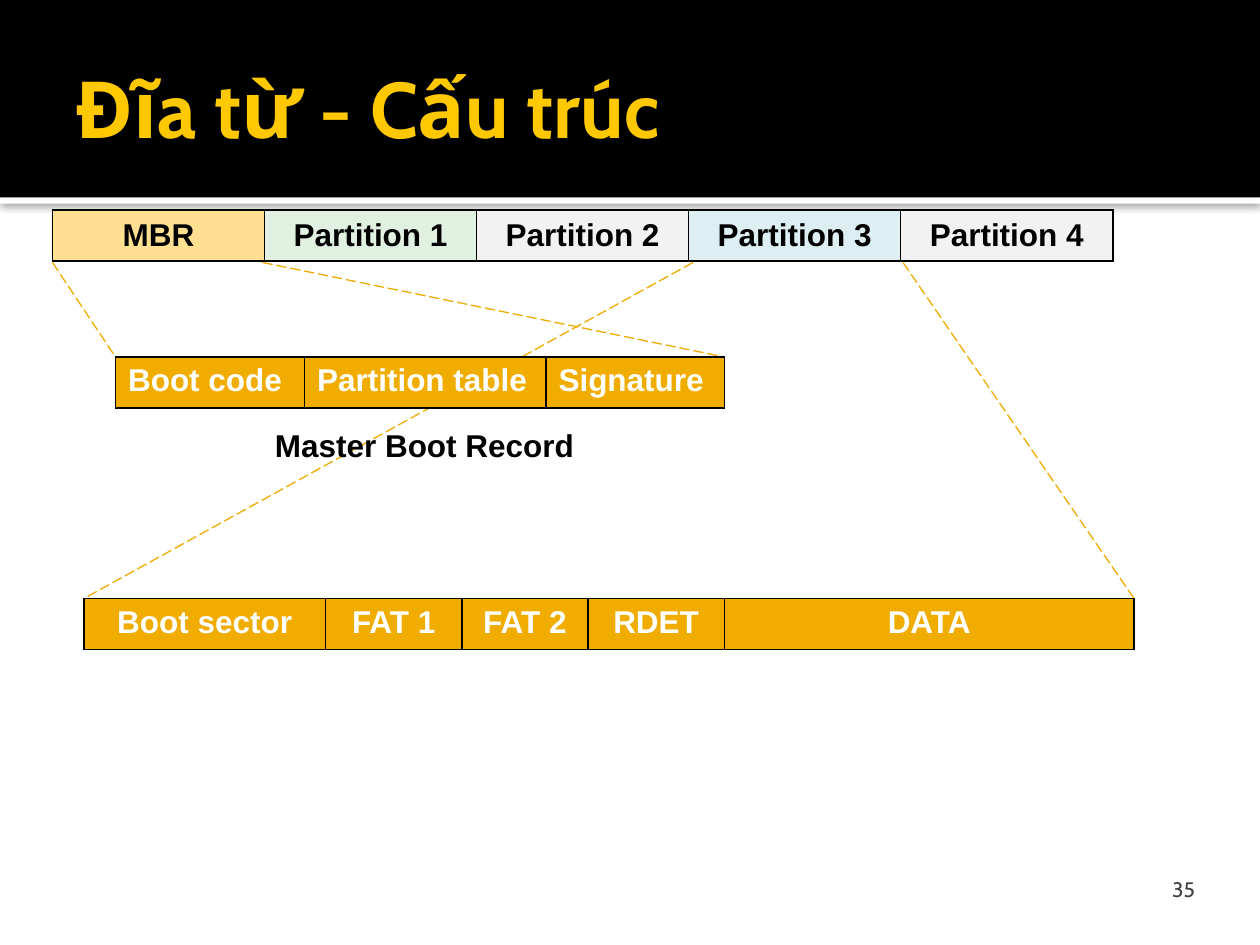
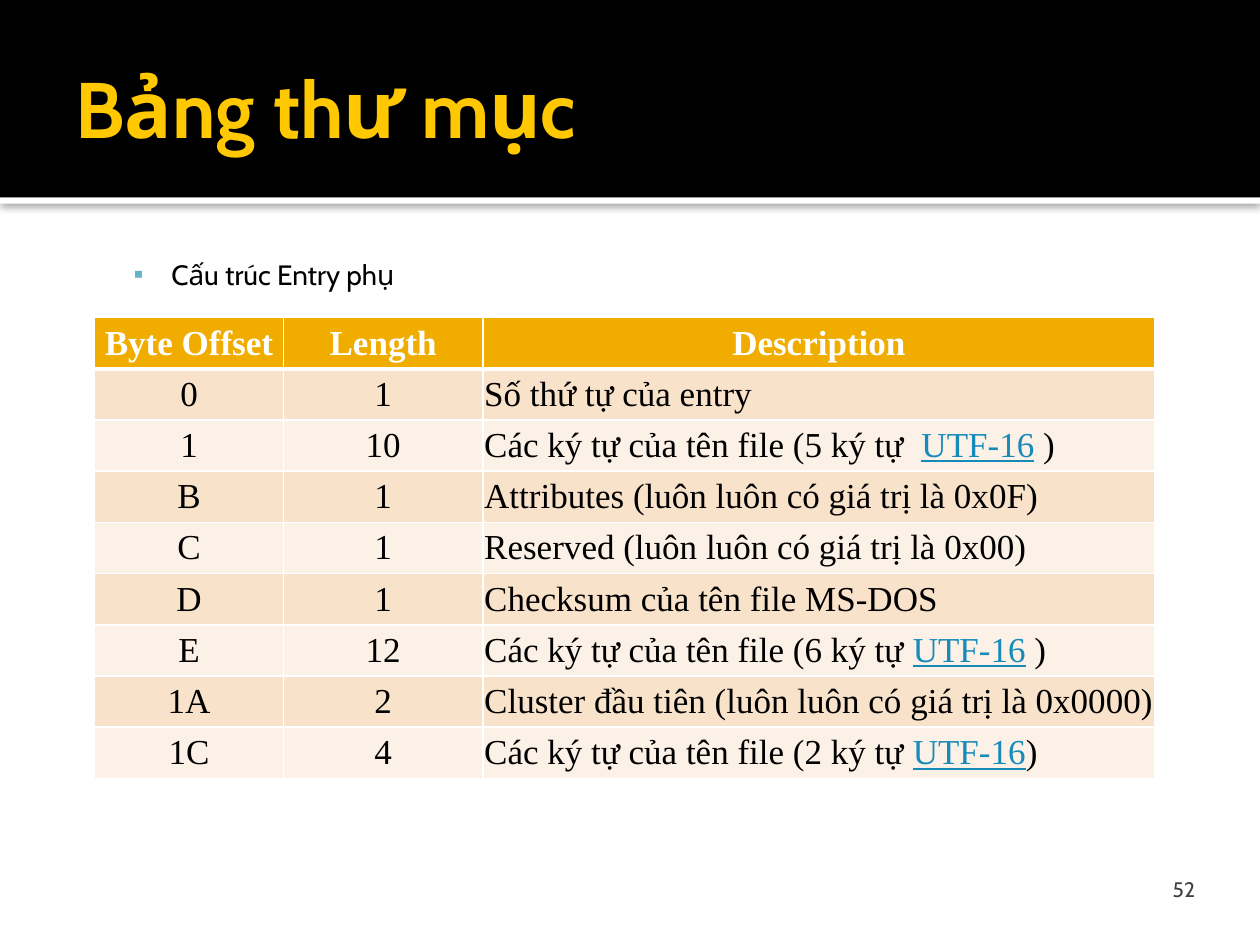
from lxml.etree import SubElement as Sub
from pptx import Presentation
from pptx.dml.color import RGBColor
from pptx.enum.dml import MSO_LINE_DASH_STYLE as Dash
from pptx.enum.shapes import MSO_CONNECTOR as Conn, MSO_SHAPE as Shape
from pptx.enum.text import MSO_ANCHOR as Anchor, MSO_AUTO_SIZE as Auto, PP_ALIGN as Align
from pptx.oxml.ns import qn
from pptx.util import Inches, Pt

# Colours
BLACK = RGBColor(0x00, 0x00, 0x00)
WHITE = RGBColor(0xFF, 0xFF, 0xFF)
GOLD = RGBColor(0xFF, 0xC8, 0x00)
AMBER = RGBColor(0xF0, 0xAD, 0x00)
DASHED = RGBColor(0xEF, 0xAB, 0x00)
GREY = RGBColor(0x3F, 0x3F, 0x3F)
BLUE = RGBColor(0x60, 0xB5, 0xCC)
LINK = RGBColor(0x16, 0x8B, 0xBA)
CREAM = RGBColor(0xFF, 0xE0, 0x93)
GREEN = RGBColor(0xE0, 0xF0, 0xE1)
PALE = RGBColor(0xF2, 0xF2, 0xF2)
SKY = RGBColor(0xDE, 0xEF, 0xF4)
PEACH = RGBColor(0xF9, 0xE2, 0xCA)
LIGHT = RGBColor(0xFC, 0xF1, 0xE6)

# Grid of 120 columns and 90 rows on a 10 x 7.5 inch slide
WIDE, HIGH = Inches(10), Inches(7.5)
COLS, ROWS = 120, 90
BAND = 18.8
ROW = 4.88

# Font formats
HEAD = dict(name="Cabin", size=Pt(45), bold=True, color=GOLD)
LIST = dict(name="Cabin", size=Pt(16), color=BLACK)
PAGE = dict(name="Cabin", size=Pt(12), color=GREY)
DARK = dict(name="Arial", size=Pt(18), bold=True, color=BLACK)
BRIGHT = {**DARK, "color": WHITE}
CELL = dict(name="Times New Roman", size=Pt(20), bold=False, color=BLACK)
TOP = {**CELL, "bold": True, "color": WHITE}

# Line format
DASHES = dict(color=DASHED, width=Pt(0.75), dash_style=Dash.LONG_DASH)

TERM = "UTF-16"


def put(item, vals):
    for key, val in vals.items():
        if key == "color":
            item.color.rgb = val
        else:
            setattr(item, key, val)


def pad(left, top, right, low):
    sides = ("left", "top", "right", "bottom")
    return {f"margin_{side}": Inches(gap)
            for side, gap in zip(sides, (left, top, right, low))}


class Deck:
    def __init__(self):
        self.prs = Presentation()
        put(self.prs, dict(slide_width=WIDE, slide_height=HIGH))

    def box(self, left, top, wide, high):
        """Turn grid units into slide lengths."""
        return (round(WIDE * left / COLS), round(HIGH * top / ROWS),
                round(WIDE * wide / COLS), round(HIGH * high / ROWS))

    def start(self, kind, title, page):
        """Add a slide with its band, title and page number."""
        self.slide = self.prs.slides.add_slide(self.prs.slide_layouts[kind])
        self.shapes = self.slide.shapes
        strip = self.bar(BAND, 0.6, WHITE)
        self.bar(0, BAND, BLACK)
        self.shade(strip)
        self.fit(self.shapes.title, (6, 2, 108, 16.4), title, HEAD,
                 dict(vertical_anchor=Anchor.MIDDLE, **pad(0.1, 0.05, 0.05, 0.05)))
        self.text((107, 79.1, 8, 6.8), page, PAGE, Align.RIGHT,
                  dict(vertical_anchor=Anchor.BOTTOM, margin_bottom=0))

    def bar(self, top, high, fill):
        bar = self.shapes.add_shape(Shape.RECTANGLE, *self.box(0, top, COLS, high))
        bar.shadow.inherit = False
        bar.fill.solid()
        bar.fill.fore_color.rgb = fill
        bar.line.fill.background()
        return bar

    def shade(self, shape):
        glow = shape._element.spPr.find(qn("a:effectLst"))
        drop = Sub(glow, qn("a:outerShdw"), blurRad=str(Pt(5)), dist=str(Pt(0.8)),
                   dir="5400000", algn="t", rotWithShape="0")
        tint = Sub(drop, qn("a:srgbClr"), val=str(BLACK))
        Sub(tint, qn("a:alpha"), val="60000")

    def say(self, frame, words, font, align=Align.LEFT):
        """Fill the first paragraph, with the marked term set apart."""
        para = frame.paragraphs[0]
        para.alignment = align
        for part in filter(None, words.partition(TERM)):
            run = para.add_run()
            run.text = part
            put(run.font, font)
            if part == TERM:
                put(run.font, dict(color=LINK, underline=True))
        return para

    def fit(self, shape, spot, words, font, frame):
        """Move a placeholder to the front, place it and fill it."""
        self.shapes._spTree.append(shape._element)
        put(shape, dict(zip(("left", "top", "width", "height"), self.box(*spot))))
        put(shape.text_frame, dict(word_wrap=True, auto_size=Auto.NONE, **frame))
        return self.say(shape.text_frame, words, font)

    def text(self, spot, words, font, align=Align.LEFT, form=None):
        area = self.shapes.add_textbox(*self.box(*spot)).text_frame
        put(area, dict(word_wrap=True, **(form or {})))
        self.say(area, words, font, align)

    def point(self, words):
        """Put a second-level bullet in the body placeholder."""
        para = self.fit(self.slide.placeholders[1], (6, 23.3, 108, 60.7), words, LIST,
                        dict(vertical_anchor=Anchor.TOP, **pad(0.06, 0.1, 0.1, 0.05)))
        put(para, dict(level=1, space_before=Pt(0)))
        props = para._p.get_or_add_pPr()
        props.set("marL", str(Inches(0.8)))
        props.set("indent", str(Inches(-0.3)))
        Sub(Sub(props, qn("a:buClr")), qn("a:srgbClr"), val=str(BLUE))
        Sub(props, qn("a:buFont"), typeface="Arial")
        Sub(props, qn("a:buChar"), char="▪")

    def dash(self, start, end):
        link = self.shapes.add_connector(Conn.STRAIGHT, *self.box(*start, *end))
        put(link.line, DASHES)
        Sub(link._element.spPr, qn("a:effectLst"))

    def grid(self, left, top, wides, count):
        """Add a bare table with the given column widths."""
        spot = self.box(left, top, sum(wides), ROW * count)
        table = self.shapes.add_table(count, len(wides), *spot).table
        put(table, dict(first_row=False, horz_banding=False))
        for col, wide in zip(table.columns, wides):
            col.width = round(WIDE * wide / COLS)
        return table

    def cell(self, cell, words, font, fill, edge, align, form, thick=""):
        put(cell, form)
        props = cell._tc.get_or_add_tcPr()
        for side in "LRTB":
            size = Pt(3 if side == thick else 1)
            line = Sub(props, qn(f"a:ln{side}"), w=str(size))
            Sub(Sub(line, qn("a:solidFill")), qn("a:srgbClr"), val=str(edge))
        cell.fill.solid()
        cell.fill.fore_color.rgb = fill
        self.say(cell.text_frame, words, font, align)

    def strip(self, left, top, parts, font, align=Align.CENTER, anchor=Anchor.TOP):
        """Draw one row of (words, width, fill) blocks."""
        table = self.grid(left, top, [wide for _, wide, _ in parts], 1)
        for cell, (words, _, fill) in zip(table.rows[0].cells, parts):
            self.cell(cell, words, font, fill, BLACK, align,
                      dict(vertical_anchor=anchor))

    def sheet(self, left, top, wides, rows):
        """Draw a banded table whose last column is left aligned."""
        table = self.grid(left, top, wides, len(rows))
        form = dict(vertical_anchor=Anchor.MIDDLE, **pad(*[0.01] * 4))
        for y, row in enumerate(rows):
            font = CELL if y else TOP
            fill = (PEACH if y % 2 else LIGHT) if y else AMBER
            for x, words in enumerate(row):
                last = y and x == len(row) - 1
                self.cell(table.cell(y, x), words, font, fill, WHITE,
                          Align.LEFT if last else Align.CENTER, form,
                          {0: "B", 1: "T"}.get(y, ""))


def disk(deck):
    """Disk layout, with two of its parts opened up."""
    deck.start(5, "Đĩa từ - Cấu trúc", "35")
    low, boot, vol = 25, 34, 57
    for start, end in (((66, low), (8, vol)), ((5, low), (11, boot)),
                       ((25, low), (69, boot)), ((86, low), (108, vol))):
        deck.dash(start, end)
    names = ("MBR", "Partition 1", "Partition 2", "Partition 3", "Partition 4")
    fills = (CREAM, GREEN, PALE, SKY, PALE)
    deck.strip(5, 20, [(name, 20.2, fill) for name, fill in zip(names, fills)],
               DARK, anchor=Anchor.MIDDLE)
    deck.strip(11, boot, [("Boot code", 18, AMBER), ("Partition table", 23, AMBER),
                          ("Signature", 17, AMBER)], BRIGHT, Align.LEFT)
    deck.strip(8, vol, [("Boot sector", 23, AMBER), ("FAT 1", 13, AMBER),
                        ("FAT 2", 12, AMBER), ("RDET", 13, AMBER),
                        ("DATA", 39, AMBER)], BRIGHT)
    deck.text((25, 40, 31.2, 4.8), "Master Boot Record", DARK)


def entry(deck):
    """Fields of a secondary directory entry."""
    deck.start(1, "Bảng thư mục", "52")
    deck.point("Cấu trúc Entry phụ")
    deck.sheet(9, 30.25, (18, 19, 64), (
        ("Byte Offset", "Length", "Description"),
        ("0", "1", "Số thứ tự của entry"),
        ("1", "10", "Các ký tự của tên file (5 ký tự  UTF-16 )"),
        ("B", "1", "Attributes (luôn luôn có giá trị là 0x0F)"),
        ("C", "1", "Reserved (luôn luôn có giá trị là 0x00)"),
        ("D", "1", "Checksum của tên file MS-DOS"),
        ("E", "12", "Các ký tự của tên file (6 ký tự UTF-16 )"),
        ("1A", "2", "Cluster đầu tiên (luôn luôn có giá trị là 0x0000)"),
        ("1C", "4", "Các ký tự của tên file (2 ký tự UTF-16)"),
    ))


def main():
    deck = Deck()
    disk(deck)
    entry(deck)
    deck.prs.save("out.pptx")


if __name__ == "__main__":
    main()
